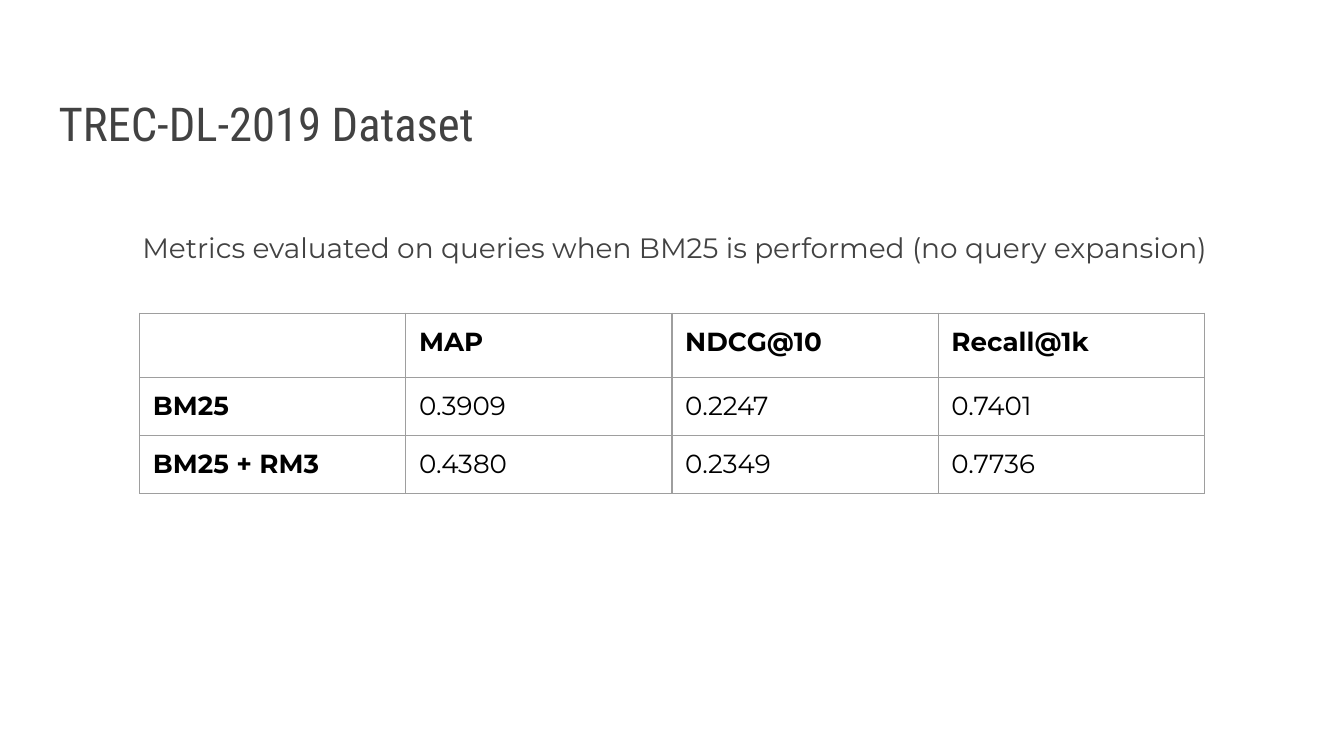
from lxml import etree
from pptx import Presentation
from pptx import util as u
from pptx.dml.color import RGBColor
from pptx.enum import text
from pptx.oxml import ns

INSET = u.Cm(0.25)
METRICS = [
    ["", "MAP", "NDCG@10", "Recall@1k"],
    ["BM25", "0.3909", "0.2247", "0.7401"],
    ["BM25 + RM3", "0.4380", "0.2349", "0.7736"],
]


def rgb(color):
    """Turn a hex string into a colour."""
    return RGBColor.from_string(color)


def write(tf, content, font="Montserrat", size=14, color="000000", bold=False,
          spacing=None, after=None):
    """Put one formatted paragraph in a text frame."""
    p = tf.paragraphs[0]
    p.line_spacing = spacing
    p.space_after = after
    p.font.size = u.Pt(size)
    if content:
        r = p.add_run()
        r.text = content
        r.font.name = font
        r.font.size = u.Pt(size)
        r.font.bold = bold
        r.font.color.rgb = rgb(color)


def set_margins(item):
    """Give a cell or text frame equal margins on all sides."""
    item.margin_left = item.margin_right = INSET
    item.margin_top = item.margin_bottom = INSET


def add_text(s, box, content, anchor=text.MSO_ANCHOR.TOP, **fmt):
    """Add a wrapping text box, its place given in centimetres."""
    tf = s.shapes.add_textbox(*map(u.Cm, box)).text_frame
    tf.word_wrap = True
    tf.vertical_anchor = anchor
    set_margins(tf)
    write(tf, content, **fmt)


def set_borders(cell, color, width):
    """Draw a solid line on the four sides of a cell."""
    tcPr = cell._tc.get_or_add_tcPr()
    for side in ("lnL", "lnR", "lnT", "lnB"):
        ln = etree.SubElement(tcPr, ns.qn(f"a:{side}"), w=str(u.Pt(width)))
        fill = etree.SubElement(ln, ns.qn("a:solidFill"))
        etree.SubElement(fill, ns.qn("a:srgbClr"), val=color)


def add_metrics_table(s, left, top, col_width, row_heights, rows):
    """Add a bordered table with bold first row and column."""
    n = len(rows[0])
    table = s.shapes.add_table(len(rows), n, u.Cm(left), u.Cm(top),
                               u.Cm(col_width * n), u.Cm(sum(row_heights))).table
    table.horz_banding = False
    for col in table.columns:
        col.width = u.Cm(col_width)
    for i, (values, height) in enumerate(zip(rows, row_heights)):
        table.rows[i].height = u.Cm(height)
        for j, value in enumerate(values):
            cell = table.cell(i, j)
            set_margins(cell)
            set_borders(cell, "9E9E9E", 0.75)
            cell.fill.background()
            write(cell.text_frame, value, bold=i == 0 or j == 0)


def main():
    """Build and save the slide."""
    prs = Presentation()
    prs.slide_width, prs.slide_height = u.Cm(25.4), u.Cm(14.29)
    s = prs.slides.add_slide(prs.slide_layouts[6])
    add_text(s, (0.86, 1.07, 23.67, 2.03), "TREC-DL-2019 Dataset",
             anchor=text.MSO_ANCHOR.BOTTOM, font="Roboto Condensed",
             size=25, color="424242")
    add_metrics_table(s, 2.64, 5.92, 5.03, [1.21, 1.1, 1.1], METRICS)
    add_text(s, (2.44, 4.01, 21.36, 1.14),
             "Metrics evaluated on queries when BM25 is performed (no query expansion)",
             size=15, color="424242", spacing=1.15, after=u.Pt(12))
    prs.save("out.pptx")


if __name__ == "__main__":
    main()
